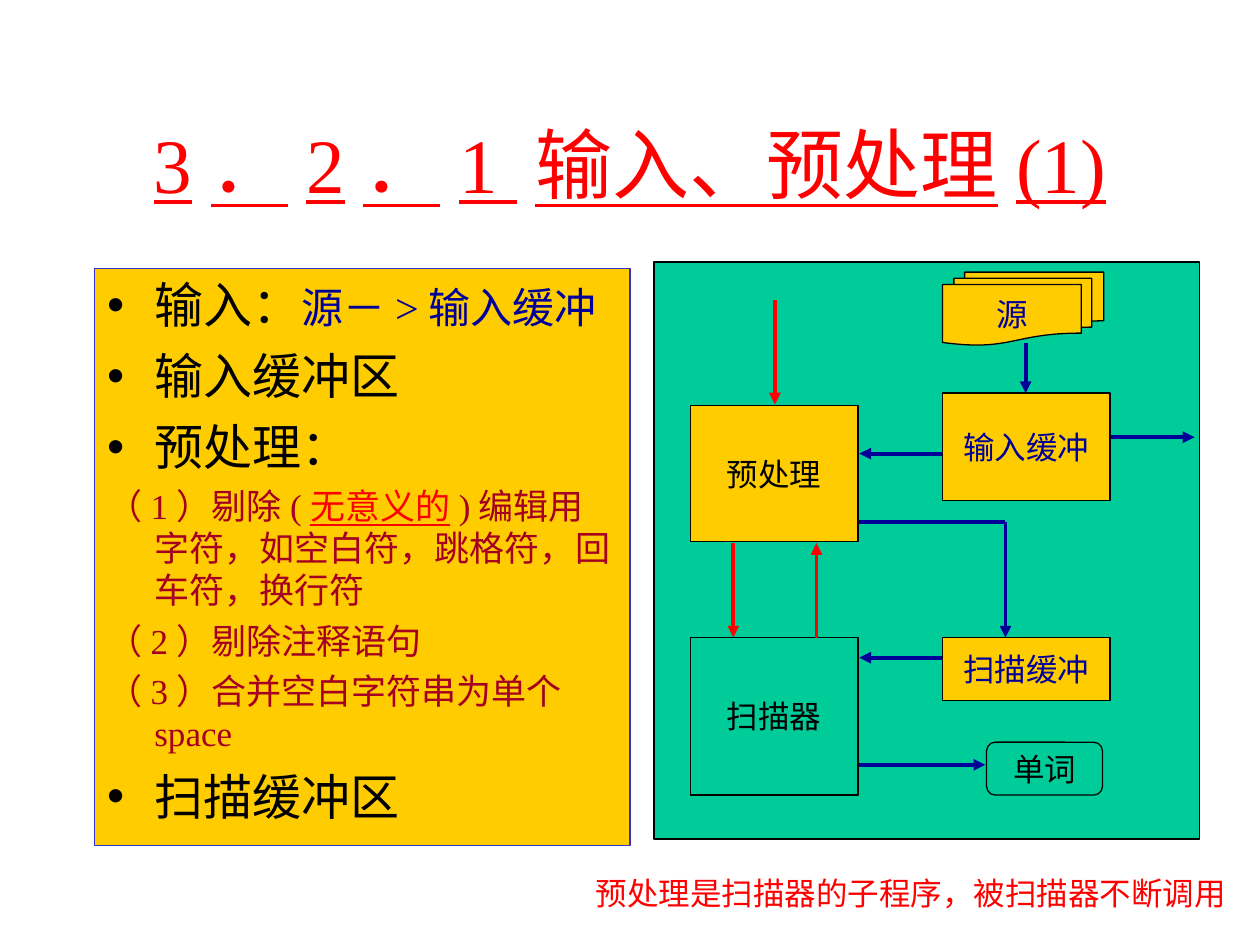
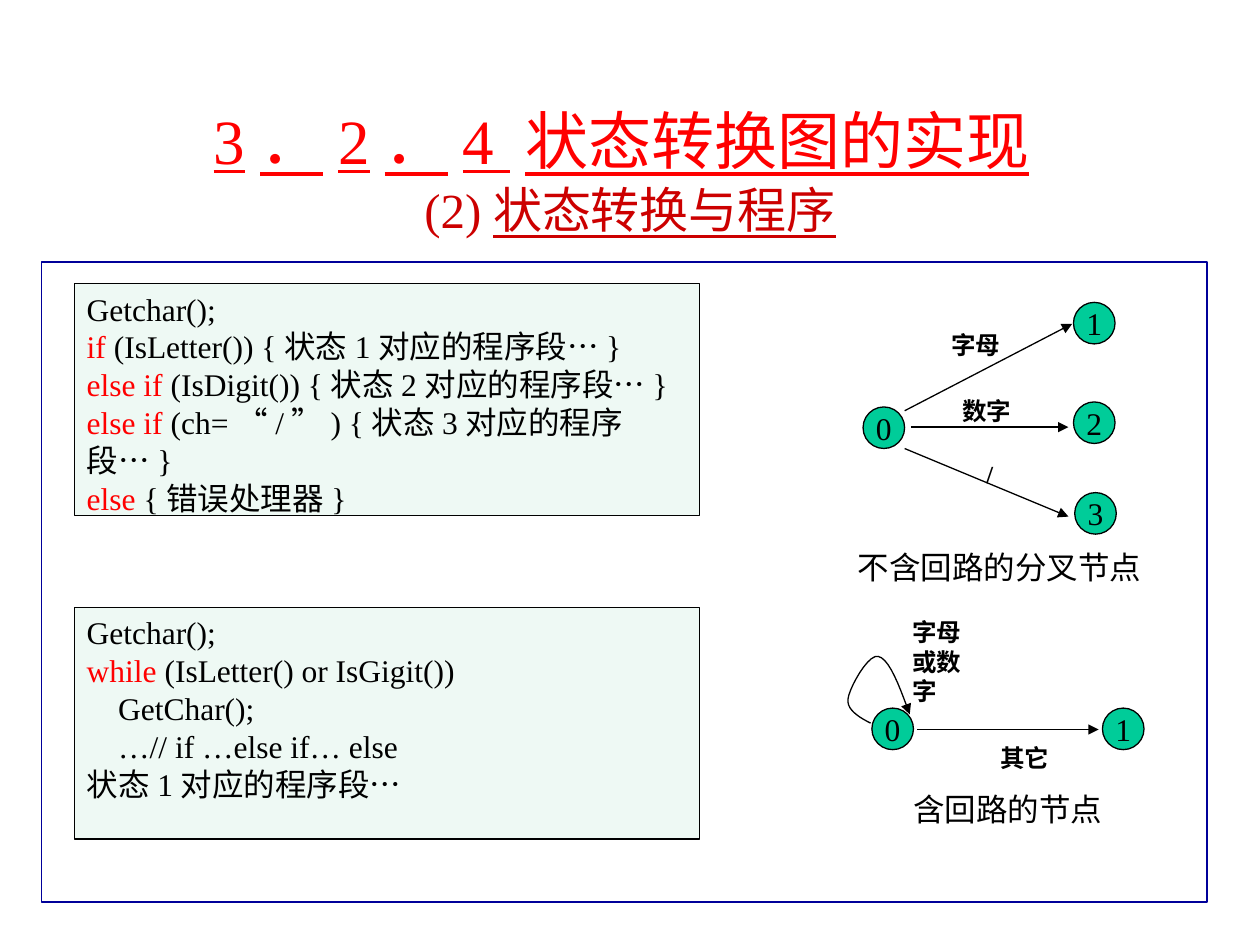
import lxml.etree
import pptx
import pptx.dml.color
import pptx.enum.shapes
import pptx.enum.text
import pptx.oxml.ns
import pptx.util

PX = 9144  # EMU per px, 100 px to the inch
FONT = "Times New Roman"
RGB = pptx.dml.color.RGBColor
BLACK = RGB(0x00, 0x00, 0x00)
RED = RGB(0xFF, 0x00, 0x00)
CRIMSON = RGB(0xCC, 0x00, 0x00)
MAROON = RGB(0xA5, 0x00, 0x21)
NAVY = RGB(0x00, 0x00, 0x99)
BLUE = RGB(0x33, 0x33, 0xCC)
GREEN = RGB(0x00, 0xCC, 0x99)
GOLD = RGB(0xFF, 0xCC, 0x00)
MINT = RGB(0xEE, 0xF9, 0xF4)

SHAPE = pptx.enum.shapes.MSO_SHAPE
ALIGN = pptx.enum.text.PP_ALIGN
ANCHOR = pptx.enum.text.MSO_ANCHOR
NO_FIT = pptx.enum.text.MSO_AUTO_SIZE.NONE


def write_spans(para, spans, bold=None):
    """Add (text, size, colour, underline) spans to a paragraph."""
    for text, size, colour, underline in spans:
        span = para.add_run()
        span.text = text
        span.font.name = FONT
        span.font.size = pptx.util.Pt(size)
        span.font.color.rgb = colour
        span.font.underline = underline
        span.font.bold = bold


def style_line(shape, colour, weight, arrow):
    """Give a line its colour and weight, an optional arrowhead and no shadow."""
    shape.line.color.rgb = colour
    shape.line.width = pptx.util.Pt(weight)
    if arrow:
        outline = shape.line._get_or_add_ln()
        lxml.etree.SubElement(outline, pptx.oxml.ns.qn("a:tailEnd"), type="triangle")
    properties = shape._element.spPr
    if properties.find(pptx.oxml.ns.qn("a:effectLst")) is None:
        lxml.etree.SubElement(properties, pptx.oxml.ns.qn("a:effectLst"))


deck = pptx.Presentation()
deck.slide_width, deck.slide_height = 1000 * PX, 750 * PX
input_page = deck.slides.add_slide(deck.slide_layouts[1])
code_page = deck.slides.add_slide(deck.slide_layouts[5])

# Titles: one list of spans for each line
titles = [
    (input_page, [[("3．2．1 输入、预处理(1)", 44, RED, True)]]),
    (code_page, [
        [("3．2．4 状态转换图的实现", 36, RED, True), (" ", 44, BLACK, False)],
        [("(2)", 28, CRIMSON, False), ("状态转换与程序", 28, CRIMSON, True)],
    ]),
]
for page, lines in titles:
    title = page.shapes.title
    title.left, title.top, title.width, title.height = 75 * PX, 67 * PX, 850 * PX, 125 * PX
    title.text_frame.auto_size = NO_FIT
    title.text_frame.vertical_anchor = ANCHOR.MIDDLE
    para = title.text_frame.paragraphs[0]
    para.alignment = ALIGN.CENTER
    for number, spans in enumerate(lines):
        if number:
            para.add_line_break()
        write_spans(para, spans)

# Input list: main points have bullets, numbered steps do not
body = input_page.placeholders[1]
body.left, body.top, body.width, body.height = 75 * PX, 213 * PX, 425 * PX, 458 * PX
body.fill.solid()
body.fill.fore_color.rgb = GOLD
body.line.color.rgb = BLUE
body.line.width = pptx.util.Pt(0.75)
body.text_frame.auto_size = NO_FIT
points = [
    (True, [("输入：", 28, BLACK, False), ("源－>输入缓冲", 24, NAVY, False)]),
    (True, [("输入缓冲区", 28, BLACK, False)]),
    (True, [("预处理：", 28, BLACK, False)]),
    (False, [("（1）剔除(", 20, MAROON, False), ("无意义的", 20, RED, True),
             (")编辑用字符，如空白符，跳格符，回车符，换行符", 20, MAROON, False)]),
    (False, [("（2）剔除注释语句", 20, MAROON, False)]),
    (False, [("（3）合并空白字符串为单个space", 20, MAROON, False)]),
    (True, [("扫描缓冲区", 28, BLACK, False)]),
]
for number, (bulleted, spans) in enumerate(points):
    para = body.text_frame.add_paragraph() if number else body.text_frame.paragraphs[0]
    para.space_before = pptx.util.Pt((7 if bulleted else 5) if number else 0)
    if not bulleted:
        lxml.etree.SubElement(para._p.get_or_add_pPr(), pptx.oxml.ns.qn("a:buNone"))
    write_spans(para, spans)

# Frames, process boxes and state nodes
boxes = [
    (input_page, SHAPE.RECTANGLE, 519, 208, 433, 458, GREEN, BLACK, "", BLACK),
    (input_page, SHAPE.FLOWCHART_MULTIDOCUMENT, 748, 216, 128, 58, GOLD, BLACK, "源", NAVY),
    (input_page, SHAPE.RECTANGLE, 748, 312, 133, 85, GOLD, BLACK, "输入缓冲", NAVY),
    (input_page, SHAPE.RECTANGLE, 548, 322, 133, 108, GOLD, BLACK, "预处理", BLACK),
    (input_page, SHAPE.RECTANGLE, 548, 506, 133, 125, GREEN, BLACK, "扫描器", BLACK),
    (input_page, SHAPE.RECTANGLE, 748, 506, 133, 50, GOLD, BLACK, "扫描缓冲", NAVY),
    (input_page, SHAPE.ROUNDED_RECTANGLE, 783, 589, 92, 42, GREEN, BLACK, "单词", BLACK),
    (code_page, SHAPE.RECTANGLE, 33, 208, 925, 508, None, NAVY, "", BLACK),
]
nodes = [("0", 685, 323), ("1", 852, 240), ("2", 852, 319), ("3", 853, 391),
         ("0", 692, 562), ("1", 875, 562)]
for state, left, top in nodes:
    boxes.append((code_page, SHAPE.OVAL, left, top, 33, 33, GREEN, BLACK, state, BLACK))

for page, kind, left, top, width, height, fill, edge, text, colour in boxes:
    box = page.shapes.add_shape(kind, left * PX, top * PX, width * PX, height * PX)
    if fill is None:
        box.fill.background()
    else:
        box.fill.solid()
        box.fill.fore_color.rgb = fill
    style_line(box, edge, 0.75, False)
    if text:
        box.text_frame.word_wrap = False
        box.text_frame.vertical_anchor = ANCHOR.MIDDLE
        para = box.text_frame.paragraphs[0]
        para.alignment = ALIGN.CENTER
        write_spans(para, [(text, 18, colour, False)])

# The input page's list stands in front of its diagram frame
input_page.shapes._spTree.append(body._element)

# Data flow (navy), calls (red) and state transitions (black)
flows = [
    (input_page, NAVY, 2.25, [
        (814, 272, 814, 312, True), (882, 347, 948, 347, True),
        (748, 360, 682, 360, True), (682, 414, 798, 414, False),
        (798, 414, 798, 506, True), (748, 522, 682, 522, True),
        (682, 607, 782, 607, True)]),
    (input_page, RED, 2.25, [
        (615, 238, 615, 321, True), (582, 431, 582, 506, True),
        (648, 506, 648, 431, True)]),
    (code_page, BLACK, 0.75, [
        (718, 326, 851, 257, True), (718, 356, 848, 410, True),
        (723, 339, 848, 339, True), (728, 579, 872, 579, True)]),
]
for page, colour, weight, lines in flows:
    for x1, y1, x2, y2, arrow in lines:
        connector = page.shapes.add_connector(
            pptx.enum.shapes.MSO_CONNECTOR.STRAIGHT, x1 * PX, y1 * PX, x2 * PX, y2 * PX)
        style_line(connector, colour, weight, arrow)

# Loop from state 0 back to itself, traced along three Bezier curves
curves = [
    ((691, 574), (681, 569), (672, 563), (673, 555)),
    ((673, 555), (674, 546), (689, 519), (697, 521)),
    ((697, 521), (706, 523), (714, 545), (722, 567)),
]
STEPS = 10
trace = []
for curve in curves:
    for step in range(1, STEPS + 1):
        t = step / STEPS
        weights = ((1 - t) ** 3, 3 * t * (1 - t) ** 2, 3 * t ** 2 * (1 - t), t ** 3)
        trace.append(tuple(
            round(PX * sum(w * point[axis] for w, point in zip(weights, curve)))
            for axis in (0, 1)))
start_x, start_y = curves[0][0]
builder = code_page.shapes.build_freeform(start_x * PX, start_y * PX)
builder.add_line_segments(trace, close=False)
loop = builder.convert_to_shape()
loop.fill.background()
style_line(loop, BLACK, 0.75, True)

# Captions and transition labels
labels = [
    (input_page, 463, 689, 572, 40, "预处理是扫描器的子程序，被扫描器不断调用", 18, RED, True),
    (code_page, 745, 257, 62, 34, "字母", 14, BLACK, True),
    (code_page, 754, 309, 59, 34, "数字", 14, BLACK, False),
    (code_page, 773, 359, 25, 34, "/", 14, BLACK, False),
    (code_page, 671, 430, 245, 40, "不含回路的分叉节点", 18, BLACK, False),
    (code_page, 714, 485, 62, 80, "字母或数字", 14, BLACK, True),
    (code_page, 784, 585, 62, 34, "其它", 14, BLACK, True),
    (code_page, 715, 622, 170, 40, "含回路的节点", 18, BLACK, False),
]
for page, left, top, width, height, text, size, colour, wrap in labels:
    label = page.shapes.add_textbox(left * PX, top * PX, width * PX, height * PX)
    label.text_frame.word_wrap = wrap
    write_spans(label.text_frame.paragraphs[0], [(text, size, colour, False)], size == 14)

# Code panels: each line is a red keyword and the black remainder
panels = [
    (225, [("", "Getchar();"),
           ("if", " (IsLetter()) {状态1对应的程序段…}"),
           ("else if ", "(IsDigit()) {状态2对应的程序段…}"),
           ("else if ", "(ch=“/”) {状态3对应的程序段…}"),
           ("else", " {错误处理器}")]),
    (482, [("", "Getchar();"),
           ("while ", "(IsLetter() or IsGigit())"),
           ("", "    GetChar();"),
           ("", "    …// if …else if… else"),
           ("", "状态1对应的程序段…")]),
]
for top, lines in panels:
    panel = code_page.shapes.add_shape(SHAPE.RECTANGLE, 59 * PX, top * PX, 496 * PX, 184 * PX)
    panel.fill.solid()
    panel.fill.fore_color.rgb = MINT
    style_line(panel, BLACK, 0.75, False)
    panel.text_frame.word_wrap = True
    panel.text_frame.vertical_anchor = ANCHOR.TOP
    for number, (keyword, remainder) in enumerate(lines):
        para = panel.text_frame.add_paragraph() if number else panel.text_frame.paragraphs[0]
        para.alignment = ALIGN.LEFT
        spans = [(keyword, 18, RED, False), (remainder, 18, BLACK, False)]
        write_spans(para, [span for span in spans if span[0]])

deck.save("out.pptx")
